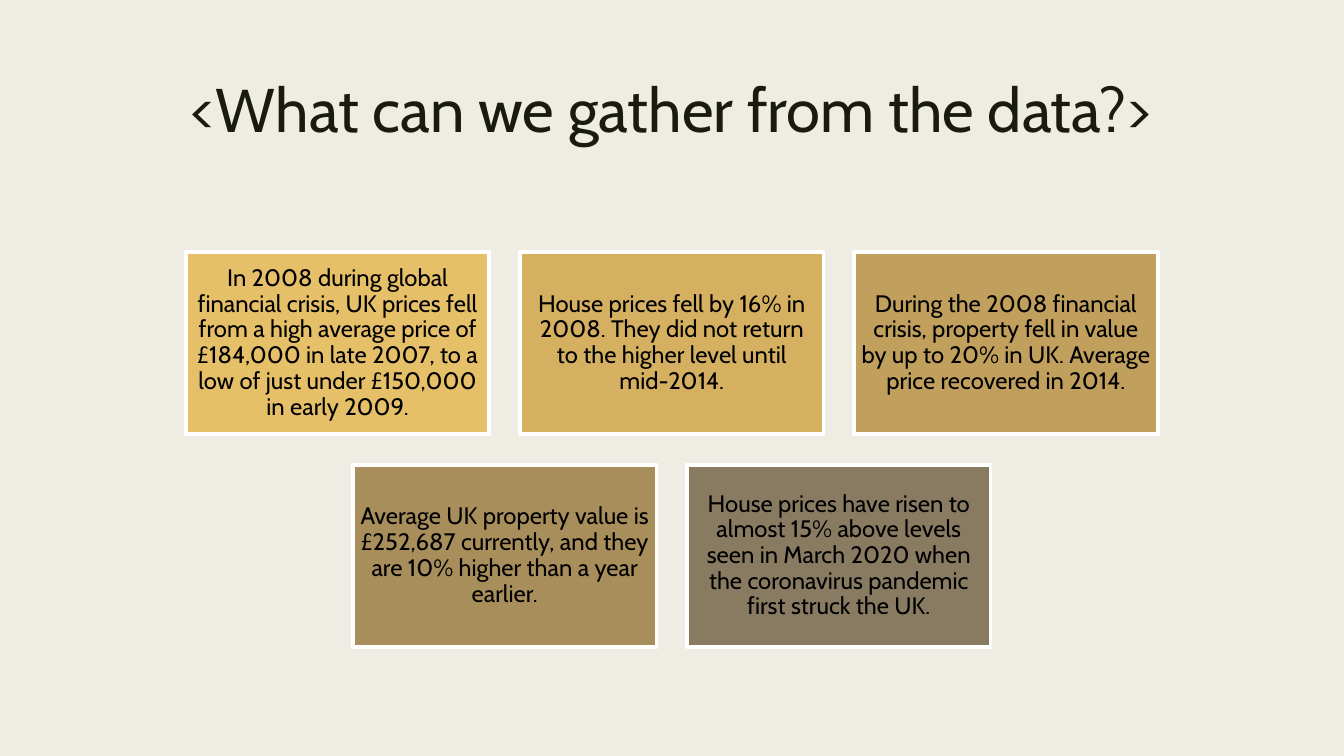
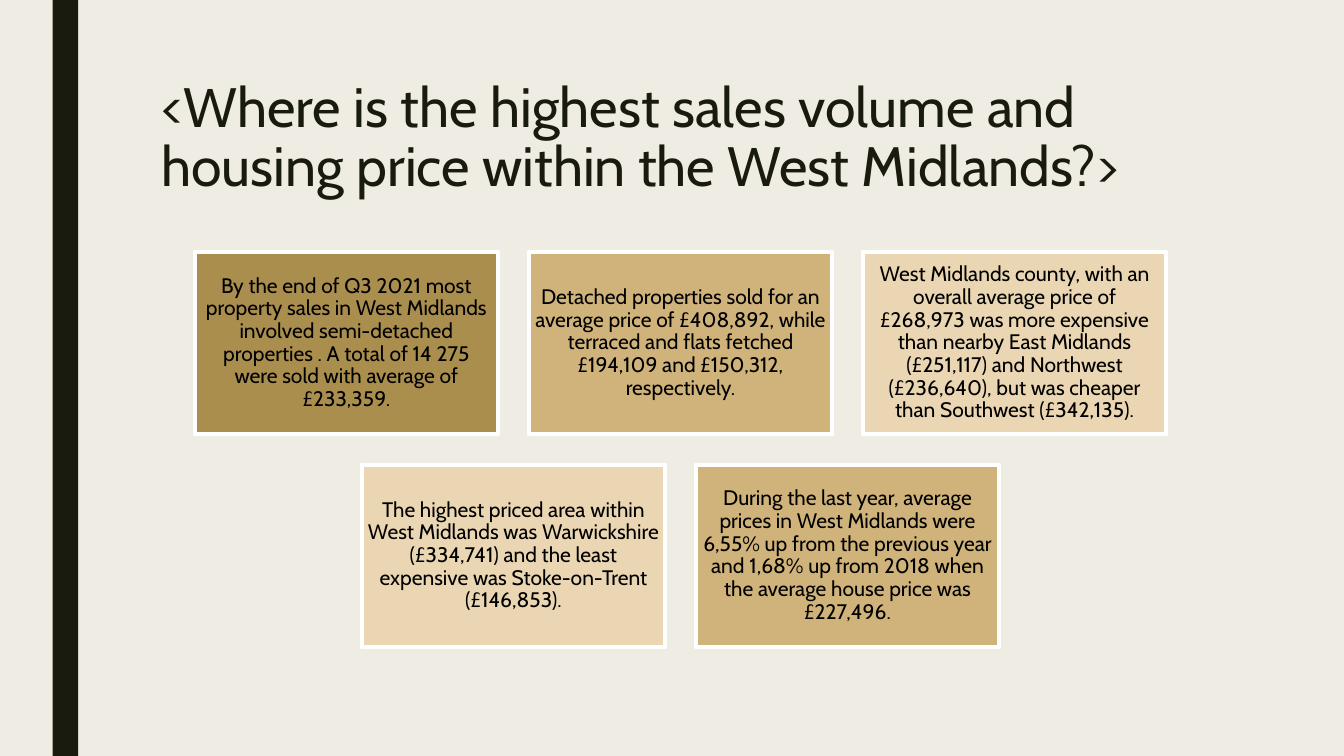
from dataclasses import dataclass

from pptx import Presentation
from pptx.dml.color import RGBColor as RGB
from pptx.enum.shapes import MSO_SHAPE as Shape
from pptx.enum.text import MSO_ANCHOR as Anchor, PP_ALIGN as Align
from pptx.util import Cm, Pt

# Shared look
FONT = "Cabin"
COLORS = {
    "paper": "EFEDE3", "ink": "191B0E", "white": "FFFFFF", "black": "000000",
    "amber": "E6C069", "gold": "D5B061", "ochre": "C0A05C",
    "bronze": "A88E5B", "stone": "897B61",
    "olive": "AA8E4E", "sand": "D0B37A", "cream": "EAD6B2",
}
SLIDE_W, SLIDE_H = 33.87, 19.05

# Card grid, in cm
CARD_W, CARD_H, GAP = 7.65, 4.59, 0.77
GRID_TOP, PER_ROW = 6.35, 3


@dataclass
class Title:
    text: str
    left: float
    width: float
    size: float
    align: Align


@dataclass
class Card:
    color: str
    text: str


@dataclass
class CardSlide:
    title: Title
    cards: list[Card]
    center: float
    text_size: float
    inset: float
    side_bar: bool


def rgb(name: str) -> RGB:
    return RGB.from_string(COLORS[name])


def write(tf, text: str, size: float, color: str, align: Align, spacing: float) -> None:
    tf.word_wrap = True
    p = tf.paragraphs[0]
    p.alignment, p.line_spacing = align, spacing
    r = p.add_run()
    r.text = text
    r.font.name, r.font.size = FONT, Pt(size)
    r.font.color.rgb = rgb(color)


def add_rect(s, left: float, top: float, width: float, height: float, color: str):
    sp = s.shapes.add_shape(Shape.RECTANGLE, Cm(left), Cm(top), Cm(width), Cm(height))
    sp.shadow.inherit = False
    sp.fill.solid()
    sp.fill.fore_color.rgb = rgb(color)
    sp.line.fill.background()
    return sp


def add_title(s, title: Title) -> None:
    sp = s.shapes.add_textbox(Cm(title.left), Cm(1.9), Cm(title.width), Cm(4.11))
    write(sp.text_frame, title.text, title.size, "ink", title.align, 0.89)


def add_card(s, card: Card, left: float, top: float, size: float, inset: float) -> None:
    sp = add_rect(s, left, top, CARD_W, CARD_H, card.color)
    sp.line.color.rgb = rgb("white")
    sp.line.width = Pt(2.75)
    tf = sp.text_frame
    tf.margin_left = tf.margin_right = tf.margin_top = tf.margin_bottom = Cm(inset)
    tf.vertical_anchor = Anchor.MIDDLE
    write(tf, card.text, size, "black", Align.CENTER, 0.9)


def add_card_slide(prs, page: CardSlide) -> None:
    s = prs.slides.add_slide(prs.slide_layouts[6])
    if page.side_bar:
        add_rect(s, 1.33, 0, 0.64, SLIDE_H, "ink")
    add_title(s, page.title)
    # Each row is centred on the same axis
    for start in range(0, len(page.cards), PER_ROW):
        row = page.cards[start:start + PER_ROW]
        left = page.center - (len(row) * (CARD_W + GAP) - GAP) / 2
        top = GRID_TOP + start // PER_ROW * (CARD_H + GAP)
        for i, card in enumerate(row):
            add_card(s, card, left + i * (CARD_W + GAP), top, page.text_size, page.inset)


# Content
PAGES = [
    CardSlide(
        Title("<What can we gather from the data?>", 1.78, 30.3, 44, Align.CENTER),
        [
            Card("amber", "In 2008 during global financial crisis, UK prices fell from a high "
                 "average price of £184,000 in late 2007, to a low of just under £150,000 "
                 "in early 2009."),
            Card("gold", "House prices fell by 16% in 2008. They did not return to the higher "
                 "level until mid-2014."),
            Card("ochre", "During the 2008 financial crisis, property fell in value by up to "
                 "20% in UK. Average price recovered in 2014."),
            Card("bronze", "Average UK property value is £252,687 currently, and they are 10% "
                 "higher than a year earlier."),
            Card("stone", "House prices have risen to almost 15% above levels seen in March "
                 "2020 when the coronavirus pandemic first struck the UK."),
        ],
        center=16.93, text_size=17, inset=0.18, side_bar=False,
    ),
    CardSlide(
        Title("<Where is the highest sales volume and housing price within the West Midlands?>",
              3.81, 26.67, 39.6, Align.LEFT),
        [
            Card("olive", "By the end of Q3 2021 most property sales in West Midlands involved "
                 "semi-detached properties . A total of 14 275 were sold with average "
                 "of £233,359."),
            Card("sand", "Detached properties sold for an average price of £408,892, while "
                 "terraced and flats fetched £194,109 and £150,312, respectively."),
            Card("cream", "West Midlands county, with an overall average price of £268,973 was "
                 "more expensive than nearby East Midlands (£251,117) and Northwest "
                 "(£236,640), but was cheaper than Southwest (£342,135)."),
            Card("cream", "The highest priced area within West Midlands was Warwickshire "
                 "(£334,741) and the least expensive was Stoke-on-Trent (£146,853)."),
            Card("sand", "During the last year, average prices in West Midlands were 6,55% up "
                 "from the previous year and 1,68% up from 2018 when the average house "
                 "price was £227,496."),
        ],
        center=17.15, text_size=15, inset=0.15, side_bar=True,
    ),
]


def main() -> None:
    prs = Presentation()
    prs.slide_width, prs.slide_height = Cm(SLIDE_W), Cm(SLIDE_H)
    fill = prs.slide_master.background.fill
    fill.solid()
    fill.fore_color.rgb = rgb("paper")
    for page in PAGES:
        add_card_slide(prs, page)
    prs.save("out.pptx")


if __name__ == "__main__":
    main()
